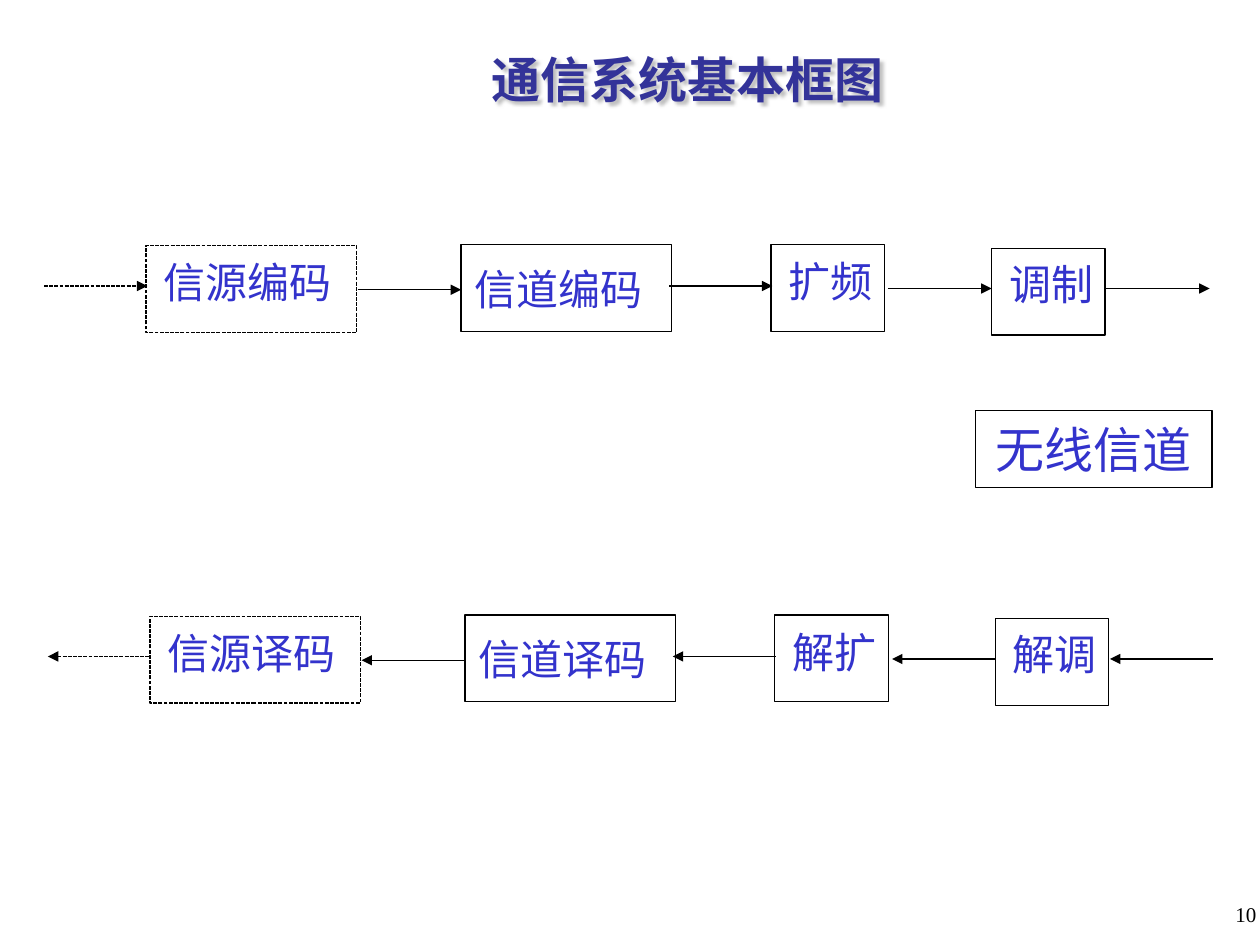
from lxml import etree
from pptx import Presentation
from pptx.dml.color import RGBColor
from pptx.enum.dml import MSO_LINE
from pptx.enum.shapes import MSO_CONNECTOR, MSO_SHAPE
from pptx.enum.text import MSO_ANCHOR, MSO_AUTO_SIZE, PP_ALIGN
from pptx.oxml.ns import qn
from pptx.util import Inches, Pt

RECTANGLE = MSO_SHAPE.RECTANGLE
STRAIGHT = MSO_CONNECTOR.STRAIGHT
DOTTED = MSO_LINE.SQUARE_DOT
GROW = MSO_AUTO_SIZE.SHAPE_TO_FIT_TEXT
TOP, MIDDLE = MSO_ANCHOR.TOP, MSO_ANCHOR.MIDDLE
LEFT, CENTER, RIGHT = PP_ALIGN.LEFT, PP_ALIGN.CENTER, PP_ALIGN.RIGHT

BLACK, WHITE, BLUE, NAVY = "000000", "FFFFFF", "3333CC", "333399"

# Stage boxes, relative to the chain: left, top, width, label left, label top
STAGES = [
    (0.81, 0.01, 1.67, 0.04, 0.04),
    (3.31, 0, 1.67, 0.01, 0.1),
    (5.77, 0, 0.9, 0.04, 0.04),
    (7.52, 0.03, 0.9, 0.04, 0.03),
]
STAGE_HEIGHT = 0.69
LABEL_SIZE = 24

# Arrows, relative to the chain: left, height of the line
ARROWS = [(0, 0.33), (2.49, 0.36), (4.96, 0.33), (6.7, 0.35), (8.43, 0.35)]
ARROW_LENGTH = 0.82


def color(hex_value):
    return RGBColor.from_string(hex_value)


def write(shape, words, size, hex_value, font="Arial", align=LEFT,
          anchor=TOP, wrap=False, bold=False):
    frame = shape.text_frame
    frame.word_wrap = wrap
    frame.vertical_anchor = anchor
    paragraph = frame.paragraphs[0]
    paragraph.alignment = align
    run = paragraph.add_run()
    run.text = words
    run.font.size = Pt(size)
    run.font.name = font
    run.font.bold = bold
    run.font.color.rgb = color(hex_value)


def add_label(slide, left, top, width, height, words, size, hex_value, **style):
    label = slide.shapes.add_textbox(
        Inches(left), Inches(top), Inches(width), Inches(height))
    write(label, words, size, hex_value, **style)
    return label


def style_line(line, dotted=False):
    line.color.rgb = color(BLACK)
    line.width = Pt(0.75)
    if dotted:
        line.dash_style = DOTTED


def add_frame(slide, left, top, width, height, fill=None, dotted=False):
    frame = slide.shapes.add_shape(
        RECTANGLE, Inches(left), Inches(top), Inches(width), Inches(height))
    frame.shadow.inherit = False
    if fill:
        frame.fill.solid()
        frame.fill.fore_color.rgb = color(fill)
    else:
        frame.fill.background()
    style_line(frame.line, dotted)
    return frame


def add_arrow(slide, left, y, forward, dotted):
    arrow = slide.shapes.add_connector(
        STRAIGHT, Inches(left), Inches(y), Inches(left + ARROW_LENGTH), Inches(y))
    style_line(arrow.line, dotted)
    end = "a:tailEnd" if forward else "a:headEnd"
    etree.SubElement(arrow.line._get_or_add_ln(), qn(end), type="triangle")
    etree.SubElement(arrow._element.spPr, qn("a:effectLst"))


def add_text_shadow(label):
    # An unfilled box casts the shadow of its text
    effects = etree.SubElement(label._element.spPr, qn("a:effectLst"))
    shadow = etree.SubElement(effects, qn("a:outerShdw"), blurRad="25400",
                              dist="25400", dir="2700000", algn="tl")
    etree.SubElement(shadow, qn("a:srgbClr"), val="C0C0C0")


def add_title(slide, left, top, width, height):
    title = add_label(slide, left, top, width, height, "通信系统基本框图", 28,
                      NAVY, font="Times New Roman", align=CENTER,
                      anchor=MIDDLE, wrap=True, bold=True)
    add_text_shadow(title)


def add_stage_label(slide, left, top, name):
    # One character is as wide as its size; the side margins add 0.2
    width = 0.2 + len(name) * LABEL_SIZE / 72
    label = add_label(slide, left, top, width, 0.5, name, LABEL_SIZE, BLUE)
    label.text_frame.auto_size = GROW


def add_chain(slide, left, top, names, forward):
    # The source stage and its outer arrow are dotted
    for i, (name, stage) in enumerate(zip(names, STAGES)):
        x, y, width, label_x, label_y = stage
        add_stage_label(slide, left + x + label_x, top + y + label_y, name)
        add_frame(slide, left + x, top + y, width, STAGE_HEIGHT, dotted=i == 0)
    for i, (x, y) in enumerate(ARROWS):
        add_arrow(slide, left + x, top + y, forward, dotted=i == 0)


def add_channel(slide, left, top, width, height):
    channel = add_frame(slide, left, top, width, height, fill=WHITE)
    write(channel, "无线信道", 28, BLUE, align=CENTER, anchor=MIDDLE)


def add_page_number(slide, left, top, width, height):
    add_label(slide, left, top, width, height, "10", 12, BLACK,
              font="Times New Roman", align=RIGHT, wrap=True)


def main():
    deck = Presentation()
    deck.slide_width, deck.slide_height = Inches(10), Inches(7.5)
    slide = deck.slides.add_slide(deck.slide_layouts[6])

    add_title(slide, 1.58, 0.25, 7.75, 0.75)
    # Transmitter above, receiver below
    add_chain(slide, 0.35, 1.94, ["信源编码", "信道编码", "扩频", "调制"], True)
    add_chain(slide, 0.38, 4.88, ["信源译码", "信道译码", "解扩", "解调"], False)
    add_channel(slide, 7.74, 3.26, 1.88, 0.61)
    add_page_number(slide, 7.99, 7.11, 2.08, 0.5)

    deck.save("out.pptx")


if __name__ == "__main__":
    main()
